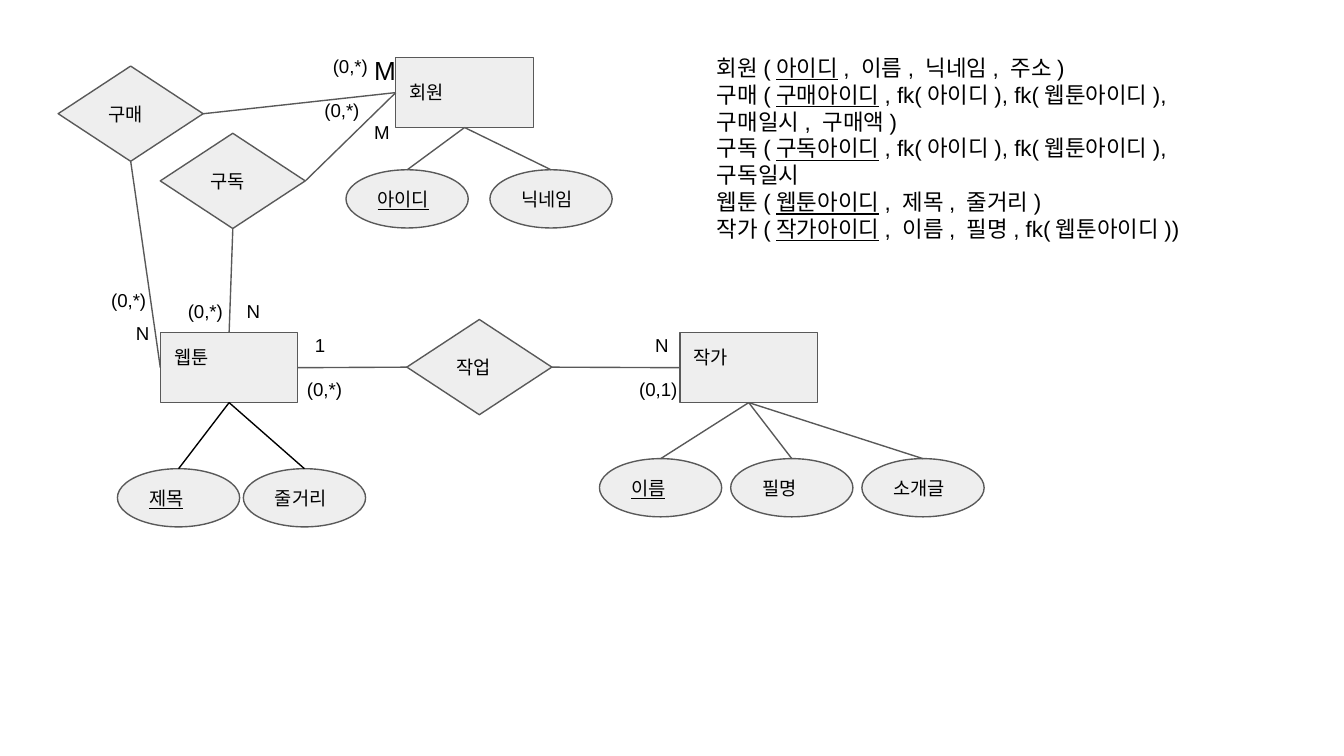
from dataclasses import dataclass

from lxml import etree
from pptx import Presentation
from pptx.dml.color import RGBColor
from pptx.enum.shapes import MSO_CONNECTOR, MSO_SHAPE
from pptx.enum.text import MSO_ANCHOR, PP_ALIGN
from pptx.oxml.ns import qn
from pptx.util import Cm, Pt

ENTITY = MSO_SHAPE.RECTANGLE
ATTRIBUTE = MSO_SHAPE.OVAL
RELATION = MSO_SHAPE.DIAMOND
STRAIGHT = MSO_CONNECTOR.STRAIGHT
MIDDLE, TOP_ANCHOR = MSO_ANCHOR.MIDDLE, MSO_ANCHOR.TOP
LEFT_ALIGN = PP_ALIGN.LEFT
TOP, LEFT, BOTTOM, RIGHT = range(4)  # connection sites
SITE_FACTORS = {TOP: (0.5, 0), LEFT: (0, 0.5), BOTTOM: (0.5, 1), RIGHT: (1, 0.5)}


@dataclass(frozen=True)
class Theme:
    font: str = "Arial"
    fill: RGBColor = RGBColor(0xEE, 0xEE, 0xEE)
    line: RGBColor = RGBColor(0x59, 0x59, 0x59)
    text: RGBColor = RGBColor(0, 0, 0)
    node_size: float = 10
    large_size: float = 14
    schema_size: float = 12
    line_width: float = 0.75
    left_inset: float = 0.26
    inset: float = 0.25


THEME = Theme()


@dataclass(frozen=True)
class Node:
    name: str
    kind: int
    left: float
    top: float
    key: bool = False
    bottom_inset: float = THEME.inset


@dataclass(frozen=True)
class Link:
    start: str
    start_site: int
    end: str
    end_site: int
    dark: bool = False


@dataclass(frozen=True)
class Label:
    text: str
    left: float
    top: float
    width: float = 0.97
    size: float = THEME.node_size


SIZES = {ENTITY: (2.6, 1.32), ATTRIBUTE: (2.31, 1.1), RELATION: (2.74, 1.8)}
RANGE_WIDTH = 1.27
LABEL_HEIGHT = 0.86

NODES = [
    Node("웹툰", ENTITY, 3.03, 6.29, bottom_inset=0.66),
    Node("작가", ENTITY, 12.85, 6.29, bottom_inset=0.66),
    Node("회원", ENTITY, 7.48, 1.09),
    Node("제목", ATTRIBUTE, 2.22, 8.86, key=True),
    Node("줄거리", ATTRIBUTE, 4.6, 8.86),
    *(Node(name, ATTRIBUTE, 11.33 + 2.48 * column, 8.67, key=column == 0)
      for column, name in enumerate(["이름", "필명", "소개글"])),
    Node("아이디", ATTRIBUTE, 6.54, 3.21, key=True),
    Node("닉네임", ATTRIBUTE, 9.26, 3.21),
    Node("작업", RELATION, 7.69, 6.04),
    Node("구독", RELATION, 3.03, 2.52),
    Node("구매", RELATION, 1.1, 1.25),
]
ATTRIBUTES = {
    "웹툰": ["제목", "줄거리"],
    "작가": ["이름", "필명", "소개글"],
    "회원": ["아이디", "닉네임"],
}
LINKS = [
    *(Link(entity, BOTTOM, attribute, TOP, dark=entity == "웹툰")
      for entity, names in ATTRIBUTES.items() for attribute in names),
    Link("웹툰", RIGHT, "작업", LEFT),
    Link("작업", RIGHT, "작가", LEFT),
    Link("웹툰", TOP, "구독", BOTTOM),
    Link("회원", LEFT, "구독", RIGHT),
    Link("구매", RIGHT, "회원", LEFT),
    Link("웹툰", LEFT, "구매", BOTTOM),
]
LABELS = [
    Label("1", 5.69, 6.09),
    Label("N", 12.12, 6.09),
    Label("N", 4.4, 5.46),
    Label("M", 6.81, 2.08),
    Label("N", 2.31, 5.88),
    Label("M", 6.81, 0.77, size=THEME.large_size),
    Label("(0,1)", 11.82, 6.93, RANGE_WIDTH),
    Label("(0,*)", 5.54, 6.93, RANGE_WIDTH),
    Label("(0,*)", 3.29, 5.46, RANGE_WIDTH),
    Label("(0,*)", 5.87, 1.66, RANGE_WIDTH),
    Label("(0,*)", 6.03, 0.82, RANGE_WIDTH),
    Label("(0,*)", 1.84, 5.25, RANGE_WIDTH),
]
# Relation name, key, remaining columns
SCHEMA = [
    ("회원(", "아이디", ", 이름, 닉네임, 주소)"),
    ("구매(", "구매아이디", ", fk(아이디), fk(웹툰아이디), 구매일시, 구매액)"),
    ("구독(", "구독아이디", ", fk(아이디), fk(웹툰아이디), 구독일시"),
    ("웹툰(", "웹툰아이디", ", 제목, 줄거리)"),
    ("작가(", "작가아이디", ", 이름, 필명, fk(웹툰아이디))"),
]


def format_frame(frame, anchor, bottom_inset: float = THEME.inset) -> None:
    values = {
        "word_wrap": True,
        "vertical_anchor": anchor,
        "margin_left": Cm(THEME.left_inset),
        "margin_right": Cm(THEME.inset),
        "margin_top": Cm(THEME.inset),
        "margin_bottom": Cm(bottom_inset),
    }
    for name, value in values.items():
        setattr(frame, name, value)


def add_run(paragraph, text: str, size: float, underline: bool = False) -> None:
    paragraph.alignment = LEFT_ALIGN
    run = paragraph.add_run()
    run.text = text
    values = {"name": THEME.font, "size": Pt(size), "underline": underline}
    for name, value in values.items():
        setattr(run.font, name, value)
    run.font.color.rgb = THEME.text


def add_node(slide, node: Node):
    width, height = SIZES[node.kind]
    shape = slide.shapes.add_shape(
        node.kind, Cm(node.left), Cm(node.top), Cm(width), Cm(height))
    shape.shadow.inherit = False
    shape.fill.solid()
    shape.fill.fore_color.rgb = THEME.fill
    shape.line.color.rgb = THEME.line
    shape.line.width = Pt(THEME.line_width)
    format_frame(shape.text_frame, MIDDLE, node.bottom_inset)
    add_run(shape.text_frame.paragraphs[0], node.name, THEME.node_size, node.key)
    return shape


def site_point(shape, site: int) -> tuple[int, int]:
    across, down = SITE_FACTORS[site]
    return (int(shape.left + across * shape.width),
            int(shape.top + down * shape.height))


def add_link(slide, link: Link, shapes: dict) -> None:
    start, end = shapes[link.start], shapes[link.end]
    connector = slide.shapes.add_connector(
        STRAIGHT, *site_point(start, link.start_site), *site_point(end, link.end_site))
    connector.begin_connect(start, link.start_site)
    connector.end_connect(end, link.end_site)
    connector.line.color.rgb = THEME.text if link.dark else THEME.line
    connector.line.width = Pt(THEME.line_width)
    etree.SubElement(connector._element.spPr, qn("a:effectLst"))


def add_text_frame(slide, left: float, top: float, width: float, height: float):
    box = slide.shapes.add_textbox(Cm(left), Cm(top), Cm(width), Cm(height))
    format_frame(box.text_frame, TOP_ANCHOR)
    return box.text_frame


def add_label(slide, label: Label) -> None:
    frame = add_text_frame(slide, label.left, label.top, label.width, LABEL_HEIGHT)
    add_run(frame.paragraphs[0], label.text, label.size)


def add_schema(slide) -> None:
    frame = add_text_frame(slide, 13.29, 0.77, 10.29, 3.91)
    for index, parts in enumerate(SCHEMA):
        paragraph = frame.add_paragraph() if index else frame.paragraphs[0]
        for position, text in enumerate(parts):
            add_run(paragraph, text, THEME.schema_size, underline=position == 1)


presentation = Presentation()
presentation.slide_width, presentation.slide_height = Cm(25.4), Cm(14.29)
slide = presentation.slides.add_slide(presentation.slide_layouts[6])
# Diagram
node_shapes = {node.name: add_node(slide, node) for node in NODES}
for link in LINKS:
    add_link(slide, link, node_shapes)
for label in LABELS:
    add_label(slide, label)
# Relational schema
add_schema(slide)
presentation.save("out.pptx")
